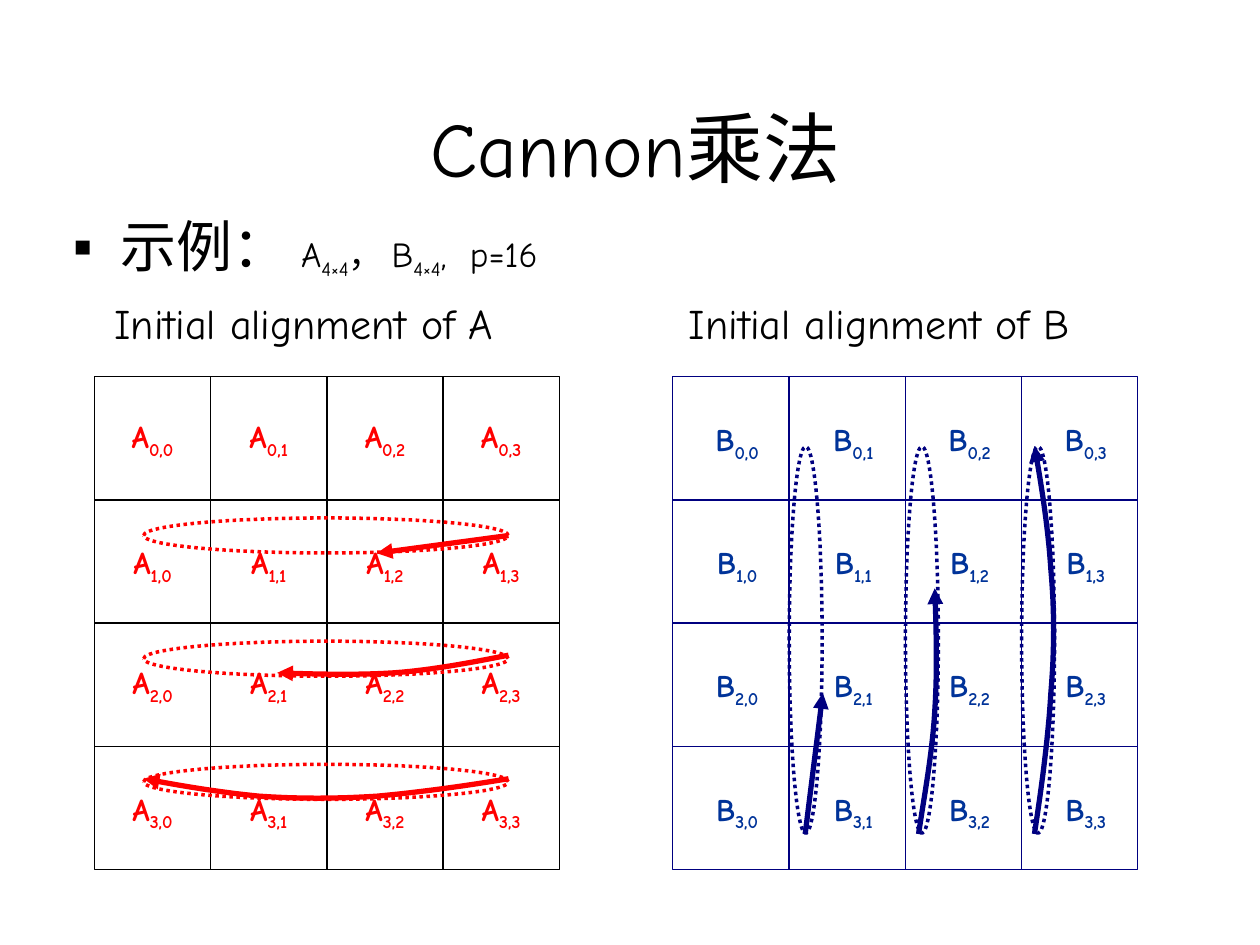
import pptx
import pptx.dml.color
import pptx.enum.dml
import pptx.enum.shapes
import pptx.enum.text
import pptx.oxml
import pptx.oxml.ns
import pptx.util

Pt = pptx.util.Pt
qn = pptx.oxml.ns.qn
ANCHOR = pptx.enum.text.MSO_ANCHOR
CENTER = pptx.enum.text.PP_ALIGN.CENTER
SHAPE = pptx.enum.shapes.MSO_SHAPE

LATIN, CJK = "Comic Neue", "Noto Sans CJK JP"
TITLE = "Cannon乘法"
EXAMPLE = [
    ("示例： ", 32, CJK, False),
    ("A", 20, LATIN, False), ("4×4", 20, LATIN, True),
    ("， B", 20, LATIN, False), ("4×4", 20, LATIN, True),
    (",  p=16", 20, LATIN, False),
]
SIZE = 4
CELL_W, CELL_H, GRID_TOP = 66.4, 70.4, 215.3

MATRICES = [
    {
        "name": "A", "left": 54, "border": "000000", "text": "FF0000", "shift": "FF0000",
        "insets": [(7.2, 3.6), (7.2, 0)],
        "caption": (58.3, 277),
        "loop": (82.1, 296, 208.4, 20), "step": (0, CELL_H),
        "arrows": [
            [(290.6, 306), (215.3, 316.1)],
            [(290.6, 374.4), (268.6, 378.7), (246.2, 383), (224.6, 384.5),
             (202.3, 385.9), (180, 385.2), (158.4, 384.5)],
            [(290.6, 445), (265, 449.3), (238.3, 452.9), (215.3, 455), (191.5, 456.5),
             (170.6, 456.5), (148.3, 455), (126.7, 452.9), (104.4, 449.3), (82.1, 445)],
        ],
    },
    {
        "name": "B", "left": 384.5, "border": "000080", "text": "003399", "shift": "000080",
        "insets": [(0, 0), (0, 0)],
        "caption": (386.6, 284),
        "loop": (451, 255.2, 18.8, 221), "step": (CELL_W, 0),
        "arrows": [
            [(460.1, 476.6), (470.2, 396)],
            [(524.9, 476.6), (528.5, 452.9), (532.8, 429.8), (534.2, 406.1),
             (535.7, 383), (535, 359.3), (534.2, 336.2)],
            [(591.1, 476.6), (595.4, 448.6), (599, 421.2), (600.5, 396), (602.6, 370.8),
             (602.6, 349.2), (600.5, 325.4), (599, 302.4), (595.4, 278.6), (591.1, 254.9)],
        ],
    },
]


def color(hex_code):
    return pptx.dml.color.RGBColor.from_string(hex_code)


def add_run(paragraph, text, size, font=LATIN, subscript=False, hex_code="000000", bold=False):
    run = paragraph.add_run()
    run.text = text
    run.font.name, run.font.size, run.font.bold = font, Pt(size), bold
    run.font.color.rgb = color(hex_code)
    properties = run._r.get_or_add_rPr()
    if subscript:
        properties.set("baseline", "-25000")
    east_asian = pptx.oxml.parse_xml(f'<a:ea {pptx.oxml.ns.nsdecls("a")} typeface="{CJK}"/>')
    properties.find(qn("a:latin")).addnext(east_asian)


def place(shape, left, top, width, height):
    shape.left, shape.top, shape.width, shape.height = map(Pt, (left, top, width, height))


def outline(shape, hex_code, width):
    shape.line.color.rgb = color(hex_code)
    shape.line.width = Pt(width)


def add_outlined(shapes, kind, box, hex_code, width):
    shape = shapes.add_shape(kind, *map(Pt, box))
    shape.shadow.inherit = False
    shape.fill.background()
    outline(shape, hex_code, width)
    return shape


def add_cell(shapes, matrix, row, column):
    box = (matrix["left"] + column * CELL_W, GRID_TOP + row * CELL_H, CELL_W, CELL_H)
    cell = add_outlined(shapes, SHAPE.RECTANGLE, box, matrix["border"], 0.75)
    frame = cell.text_frame
    frame.word_wrap = False
    frame.vertical_anchor = ANCHOR.MIDDLE
    frame.margin_right, frame.margin_bottom = map(Pt, matrix["insets"][row % 2])
    label = frame.paragraphs[0]
    label.alignment = CENTER
    add_run(label, matrix["name"], 18, hex_code=matrix["text"], bold=True)
    add_run(label, f"{row},{column}", 18, subscript=True, hex_code=matrix["text"], bold=True)


def bezier_points(controls, steps=12):
    points = []
    for start in range(0, len(controls) - 1, 3):
        p0, p1, p2, p3 = controls[start:start + 4]
        for t in (i / steps for i in range(1, steps + 1)):
            weights = ((1 - t) ** 3, 3 * t * (1 - t) ** 2, 3 * t ** 2 * (1 - t), t ** 3)
            points.append(tuple(
                Pt(sum(w * v for w, v in zip(weights, axis))) for axis in zip(p0, p1, p2, p3)))
    return points


def add_arrow(shapes, controls, hex_code):
    if len(controls) == 2:
        (x1, y1), (x2, y2) = controls
        arrow = shapes.add_connector(
            pptx.enum.shapes.MSO_CONNECTOR.STRAIGHT, Pt(x1), Pt(y1), Pt(x2), Pt(y2))
    else:
        builder = shapes.build_freeform(*map(Pt, controls[0]))
        builder.add_line_segments(bezier_points(controls), close=False)
        arrow = builder.convert_to_shape()
        arrow.fill.background()
    outline(arrow, hex_code, 3)
    properties = arrow._element.spPr
    properties.find(qn("a:ln")).append(pptx.oxml.parse_xml(
        f'<a:tailEnd {pptx.oxml.ns.nsdecls("a")} type="triangle"/>'))
    properties.append(pptx.oxml.parse_xml(f'<a:effectLst {pptx.oxml.ns.nsdecls("a")}/>'))


def add_matrix(slide, matrix):
    shapes = slide.shapes.add_group_shape().shapes
    for column in range(SIZE):
        for row in range(SIZE):
            add_cell(shapes, matrix, row, column)

    left, width = matrix["caption"]
    caption = shapes.add_textbox(Pt(left), Pt(166.3), Pt(width), Pt(36)).text_frame
    caption.word_wrap = True
    add_run(caption.paragraphs[0], f"Initial alignment of {matrix['name']}", 24)

    left, top, width, height = matrix["loop"]
    dx, dy = matrix["step"]
    for i, controls in enumerate(matrix["arrows"]):
        box = (left + i * dx, top + i * dy, width, height)
        loop = add_outlined(shapes, SHAPE.OVAL, box, matrix["shift"], 2)
        loop.line.dash_style = pptx.enum.dml.MSO_LINE.ROUND_DOT
        add_arrow(shapes, controls, matrix["shift"])


def main():
    deck = pptx.Presentation()
    deck.slide_width, deck.slide_height = Pt(720), Pt(540)
    slide = deck.slides.add_slide(deck.slide_layouts[1])

    title = slide.shapes.title
    place(title, 54, 54, 618, 60)
    title.text_frame.vertical_anchor = ANCHOR.BOTTOM
    heading = title.text_frame.paragraphs[0]
    heading.alignment = CENTER
    add_run(heading, TITLE, 44)

    body = slide.placeholders[1]
    place(body, 36.7, 118.8, 641, 106)
    frame = body.text_frame
    frame.margin_left = frame.margin_right = Pt(5)
    frame.margin_top = frame.margin_bottom = Pt(2.2)
    example = frame.paragraphs[0]
    for text, size, font, subscript in EXAMPLE:
        add_run(example, text, size, font, subscript)
    example._p.get_or_add_pPr().append(pptx.oxml.parse_xml(
        f'<a:buChar {pptx.oxml.ns.nsdecls("a")} char="▪"/>'))

    for matrix in MATRICES:
        add_matrix(slide, matrix)
    deck.save("out.pptx")


if __name__ == "__main__":
    main()
